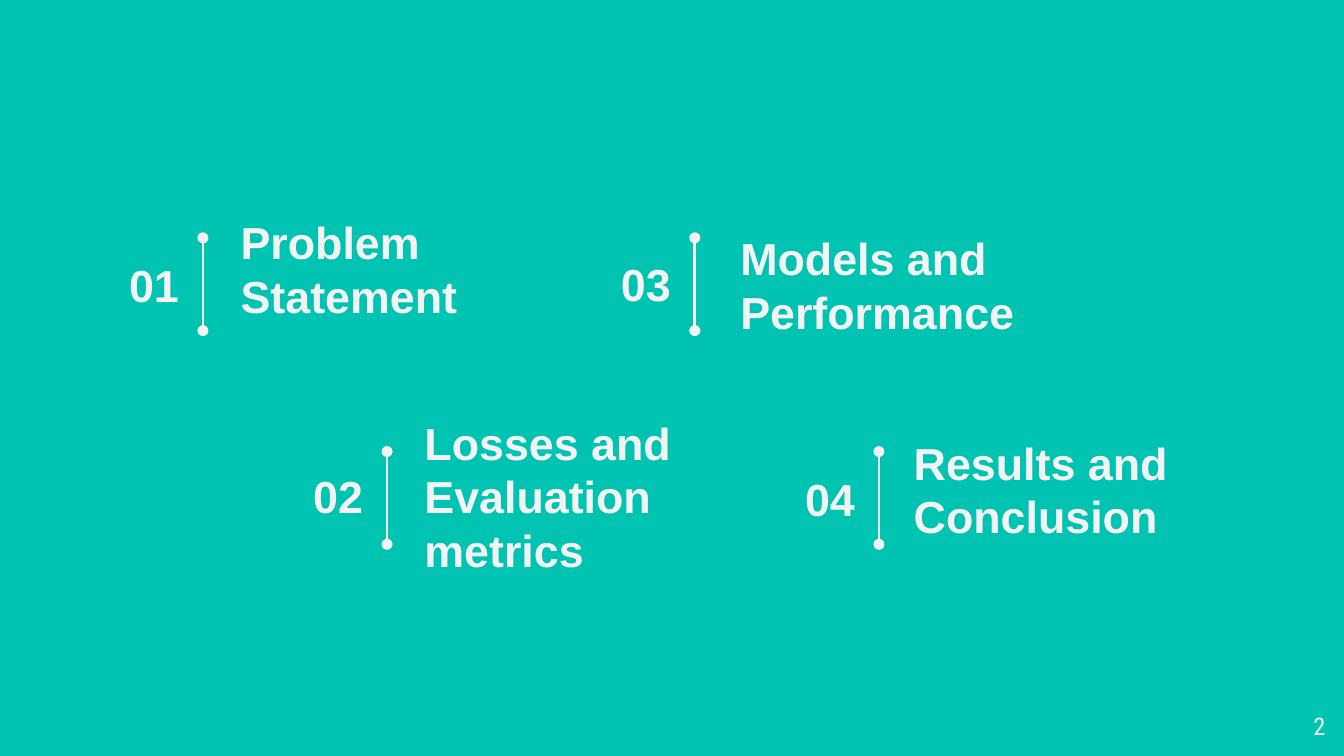
import pptx
import pptx.util
import pptx.dml.color
import pptx.enum.shapes
import pptx.enum.text
import pptx.oxml
import pptx.oxml.ns

Inches = pptx.util.Inches
PP_ALIGN = pptx.enum.text.PP_ALIGN
ANCHOR = pptx.enum.text.MSO_ANCHOR
LIGHT = "F3F3F3"


def rgb(value):
    return pptx.dml.color.RGBColor.from_string(value)


def write(s, box, text, align=PP_ALIGN.LEFT, anchor=ANCHOR.MIDDLE,
          font="Arial", size=24, bold=True):
    """Place shape s at box (inches) and set its one paragraph."""
    s.left, s.top, s.width, s.height = [Inches(v) for v in box]
    tf = s.text_frame
    tf.word_wrap = True
    tf.auto_size = pptx.enum.text.MSO_AUTO_SIZE.NONE
    tf.vertical_anchor = anchor
    tf.margin_left = tf.margin_right = Inches(0.1)
    tf.margin_top = tf.margin_bottom = Inches(0.1)
    p = tf.paragraphs[0]
    p.text = text
    p.alignment = align
    p.line_spacing = 1.0
    p.space_before = pptx.util.Pt(0)
    p.font.name = font
    p.font.size = pptx.util.Pt(size)
    p.font.bold = bold
    p.font.color.rgb = rgb(LIGHT)


prs = pptx.Presentation()
prs.slide_width = Inches(10)
prs.slide_height = Inches(10) * 9 // 16
slide = prs.slides.add_slide(prs.slide_layouts[5])
slide.background.fill.solid()
slide.background.fill.fore_color.rgb = rgb("00C3B1")
shapes = slide.shapes

# number, heading, divider x, divider top, number top, heading left, heading top
topics = [
    ("01", "Problem Statement", 1.51, 1.77, 1.89, 1.69, 1.77),
    ("02", "Losses and Evaluation metrics", 2.88, 3.36, 3.46, 3.06, 3.46),
    ("03", "Models and Performance", 5.17, 1.77, 1.88, 5.41, 1.89),
    ("04", "Results and Conclusion", 6.54, 3.36, 3.48, 6.7, 3.41),
]
for i, (number, heading, x, y, number_y, heading_x, heading_y) in enumerate(topics):
    s = shapes.title if i == 0 else shapes.add_textbox(0, 0, 0, 0)
    write(s, (heading_x, heading_y, 2.56, 0.46), heading)
    write(shapes.add_textbox(0, 0, 0, 0), (x - 0.74, number_y, 0.66, 0.46),
          number, PP_ALIGN.RIGHT)

    divider = shapes.add_connector(
        pptx.enum.shapes.MSO_CONNECTOR.STRAIGHT,
        Inches(x), Inches(y), Inches(x), Inches(y + 0.69))
    divider.line.color.rgb = rgb(LIGHT)
    divider.line.width = pptx.util.Pt(1.5)
    ln = divider.line._get_or_add_ln()
    for end in ("a:headEnd", "a:tailEnd"):
        ln.append(pptx.oxml.parse_xml(
            f'<{end} {pptx.oxml.ns.nsdecls("a")} type="oval" w="med" len="med"/>'))
    divider._element.spPr.append(pptx.oxml.parse_xml(
        f'<a:effectLst {pptx.oxml.ns.nsdecls("a")}/>'))

write(shapes.add_textbox(0, 0, 0, 0), (9.36, 5.19, 0.6, 0.43), "2",
      PP_ALIGN.RIGHT, ANCHOR.TOP, "Roboto Condensed", 13, False)

prs.save("out.pptx")
